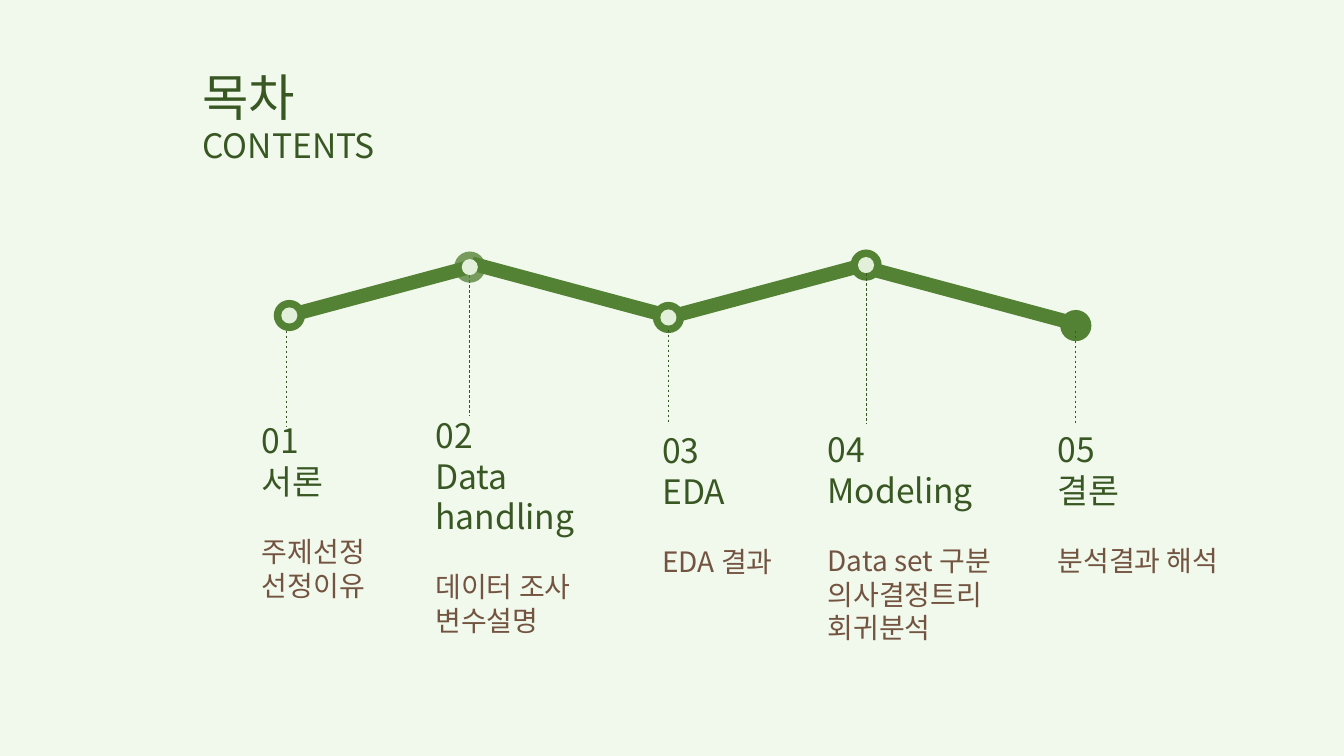
from lxml import etree
from pptx import Presentation
from pptx.dml.color import RGBColor
from pptx.enum.dml import MSO_LINE
from pptx.enum.shapes import MSO_CONNECTOR, MSO_SHAPE
from pptx.enum.text import MSO_AUTO_SIZE
from pptx.oxml.ns import qn
from pptx.util import Inches, Pt

RECTANGLE, OVAL = MSO_SHAPE.RECTANGLE, MSO_SHAPE.OVAL
STRAIGHT, DASH = MSO_CONNECTOR.STRAIGHT, MSO_LINE.DASH
GROW = MSO_AUTO_SIZE.SHAPE_TO_FIT_TEXT

FONT = "Noto Sans CJK KR"
PALE_GREEN = RGBColor(0xF1, 0xF8, 0xEC)
HOLE_GREEN = RGBColor(0xE2, 0xF0, 0xD9)
GREEN = RGBColor(0x54, 0x82, 0x35)
DARK_GREEN = RGBColor(0x38, 0x57, 0x23)
BROWN = RGBColor(0x73, 0x54, 0x41)

# text, top, height, size
HEADINGS = [("목차", 0.61, 0.71, 36), ("CONTENTS", 1.19, 0.5, 24)]
HEADING_LEFT, HEADING_WIDTH = 1.91, 7.56

# title, topics, text box (left, top, width, height)
CHAPTERS = [
    ("서론", ["주제선정", "선정이유"], (2.5, 4.12, 1.73, 1.92)),
    ("Data handling", ["데이터 조사", "변수설명"], (4.22, 4.07, 2.14, 2.66)),
    ("EDA", ["EDA 결과"], (6.47, 4.22, 1.73, 1.92)),
    ("Modeling", ["Data set 구분", "의사결정트리", "회귀분석"],
     (8.11, 4.21, 1.94, 2.26)),
    ("결론", ["분석결과 해석"], (10.39, 4.21, 1.85, 1.92)),
]

# centre x, centre y, opacity in percent, has a hole
NODES = [
    (2.87, 3.13, 100, True),
    (4.66, 2.65, 78, True),
    (6.63, 3.15, 100, True),
    (8.59, 2.63, 100, True),
    (10.67, 3.23, 100, False),
]
# centre x, centre y, length; slopes alternate up and down
BARS = [(3.69, 2.91, 1.97), (5.67, 2.88, 2.05),
        (7.63, 2.88, 1.97), (9.61, 2.93, 1.97)]
BAR_HEIGHT, BAR_SLOPE = 0.14, 15
RING, HOLE = 0.31, 0.16

# x, top, bottom
STEM_BEHIND = (4.66, 2.63, 4.12)
STEMS_IN_FRONT = [(2.84, 3.28, 4.23), (6.63, 3.27, 4.21),
                  (8.59, 2.71, 4.2), (10.67, 3.28, 4.2)]


def add_centred(slide, kind, x, y, width, height, color):
    shape = slide.shapes.add_shape(
        kind, Inches(x - width / 2), Inches(y - height / 2),
        Inches(width), Inches(height))
    shape.shadow.inherit = False
    shape.fill.solid()
    shape.fill.fore_color.rgb = color
    shape.line.fill.background()
    return shape


def set_opacity(shape, percent):
    color = shape.fill._xPr.find(qn("a:solidFill"))[0]
    etree.SubElement(color, qn("a:alpha")).set("val", str(percent * 1000))


def add_stem(slide, x, top, bottom):
    stem = slide.shapes.add_connector(
        STRAIGHT, Inches(x), Inches(top), Inches(x), Inches(bottom))
    stem.line.color.rgb = DARK_GREEN
    stem.line.width = Pt(0.5)
    stem.line.dash_style = DASH
    etree.SubElement(stem._element.spPr, qn("a:effectLst"))


def add_text(slide, box, lines):
    """Each line is (text, size, colour, space before)."""
    frame = slide.shapes.add_textbox(*map(Inches, box)).text_frame
    frame.word_wrap = True
    frame.auto_size = GROW
    for i, (text, size, color, gap) in enumerate(lines):
        paragraph = frame.add_paragraph() if i else frame.paragraphs[0]
        paragraph.text = text
        paragraph.space_before = Pt(gap)
        font = paragraph.font
        font.name, font.size, font.color.rgb = FONT, Pt(size), color
        for run in paragraph.runs:
            east_asian = etree.SubElement(run._r.get_or_add_rPr(), qn("a:ea"))
            east_asian.set("typeface", FONT)


def main():
    deck = Presentation()
    deck.slide_width, deck.slide_height = Inches(13.33), Inches(7.5)
    slide = deck.slides.add_slide(deck.slide_layouts[6])
    slide.background.fill.solid()
    slide.background.fill.fore_color.rgb = PALE_GREEN

    add_stem(slide, *STEM_BEHIND)
    for i, (x, y, length) in enumerate(BARS):
        bar = add_centred(slide, RECTANGLE, x, y, length, BAR_HEIGHT, GREEN)
        bar.rotation = BAR_SLOPE if i % 2 else 360 - BAR_SLOPE
    for x, y, opacity, has_hole in NODES:
        ring = add_centred(slide, OVAL, x, y, RING, RING, GREEN)
        if opacity < 100:
            set_opacity(ring, opacity)
        if has_hole:
            add_centred(slide, OVAL, x, y, HOLE, HOLE, HOLE_GREEN)
    for stem in STEMS_IN_FRONT:
        add_stem(slide, *stem)

    for text, top, height, size in HEADINGS:
        add_text(slide, (HEADING_LEFT, top, HEADING_WIDTH, height),
                 [(text, size, DARK_GREEN, 0)])
    for number, (title, topics, box) in enumerate(CHAPTERS, 1):
        lines = [(f"{number:02}", 24, DARK_GREEN, 0), (title, 24, DARK_GREEN, 0)]
        lines += [(topic, 20, BROWN, 0 if i else 24)
                  for i, topic in enumerate(topics)]
        add_text(slide, box, lines)

    deck.save("out.pptx")


if __name__ == "__main__":
    main()
